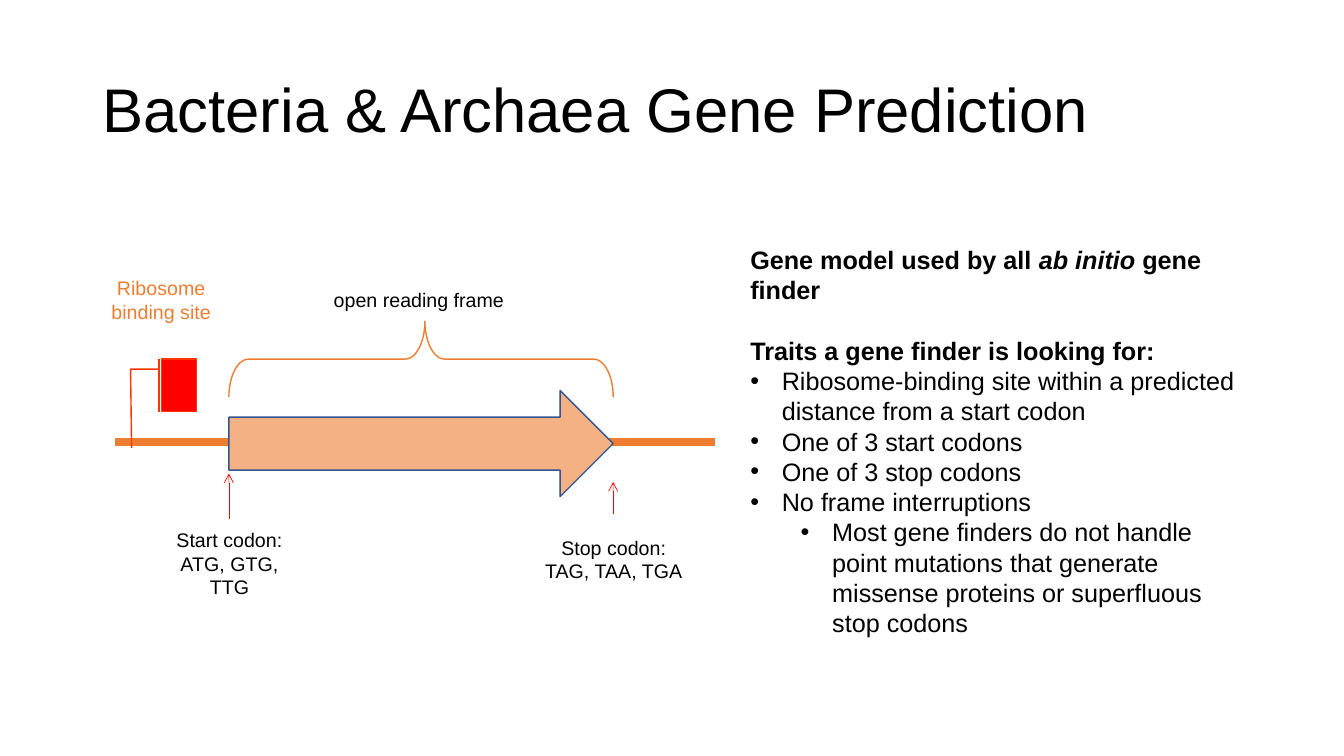
from lxml import etree
from pptx import Presentation
from pptx import util as u
from pptx.dml.color import RGBColor
from pptx.enum import shapes, text
from pptx.oxml import ns

PX = 9525
COLORS = {
    "black": "000000",
    "white": "FFFFFF",
    "orange": "ED7D31",
    "gene": "F4B183",
    "gene_edge": "325491",
    "red": "FF0000",
    "site_edge": "FF3300",
}
TITLE_FONT = {"name": "Arial", "size": u.Pt(44)}
LABEL_FONT = {"name": "Arial", "size": u.Pt(14)}
BODY_FONT = {"name": "Arial", "size": u.Pt(18)}
BODY_INDENT = 30
SHAPE = shapes.MSO_SHAPE

TRAITS = [
    (0, "Ribosome-binding site within a predicted distance from a start codon"),
    (0, "One of 3 start codons"),
    (0, "One of 3 stop codons"),
    (0, "No frame interruptions"),
    (1, "Most gene finders do not handle point mutations that generate "
        "missense proteins or superfluous stop codons"),
]


def px(*lengths):
    return [u.Emu(length * PX) for length in lengths]


def rgb(color):
    return RGBColor.from_string(COLORS[color])


def apply(target, values):
    for name, value in values.items():
        setattr(target, name, value)


def format_font(font, values, color="black"):
    apply(font, values)
    font.color.rgb = rgb(color)


def place(shape, *box):
    apply(shape, dict(zip(("left", "top", "width", "height"), px(*box))))


def add_shape(slide, kind, box, fill=None, line=None, adjustments=()):
    shape = slide.shapes.add_shape(kind, *px(*box))
    shape.shadow.inherit = False
    if fill:
        shape.fill.solid()
        shape.fill.fore_color.rgb = rgb(fill)
    else:
        shape.fill.background()
    if line:
        shape.line.color.rgb = rgb(line)
        shape.line.width = u.Pt(1)
    else:
        shape.line.fill.background()
    for index, value in enumerate(adjustments):
        shape.adjustments[index] = value
    return shape


def add_label(slide, box, lines, color="black"):
    frame = add_shape(slide, SHAPE.RECTANGLE, box, "white").text_frame
    apply(frame, {"word_wrap": True, "vertical_anchor": text.MSO_ANCHOR.MIDDLE})
    frame.text = "\n".join(lines)
    for paragraph in frame.paragraphs:
        paragraph.alignment = text.PP_ALIGN.CENTER
        format_font(paragraph.font, LABEL_FONT, color)


def add_line(slide, ends, color, width, arrow=False):
    connector = slide.shapes.add_connector(
        shapes.MSO_CONNECTOR.STRAIGHT, *px(*ends))
    connector.line.color.rgb = rgb(color)
    connector.line.width = u.Pt(width)
    properties = connector._element.spPr
    if arrow:
        outline = properties.find(ns.qn("a:ln"))
        etree.SubElement(outline, ns.qn("a:tailEnd"), type="arrow")
    etree.SubElement(properties, ns.qn("a:effectLst"))


def add_paragraph(frame, runs, level=0, bullet=False, space_before=0):
    paragraph = frame.paragraphs[0]
    if paragraph.runs:
        paragraph = frame.add_paragraph()
    properties = paragraph._p.get_or_add_pPr()
    margin = BODY_INDENT + level * 48 if bullet else 0
    properties.set("marL", str(margin * PX))
    properties.set("indent", str(-BODY_INDENT * PX if bullet else 0))
    if bullet:
        etree.SubElement(properties, ns.qn("a:buFont"), typeface="Arial")
        etree.SubElement(properties, ns.qn("a:buChar"), char="•")
    else:
        etree.SubElement(properties, ns.qn("a:buNone"))
    apply(paragraph, {"level": level, "line_spacing": 1.0,
                      "space_before": u.Pt(space_before),
                      "space_after": u.Pt(0)})
    for wording, style in runs:
        run = paragraph.add_run()
        run.text = wording
        format_font(run.font, BODY_FONT | style)


def fill_title(title):
    place(title, 88, 38, 1104, 139)
    frame = title.text_frame
    frame.text = "Bacteria & Archaea Gene Prediction"
    apply(frame, {"vertical_anchor": text.MSO_ANCHOR.MIDDLE,
                  "auto_size": text.MSO_AUTO_SIZE.NONE})
    paragraph = frame.paragraphs[0]
    apply(paragraph, {"alignment": text.PP_ALIGN.LEFT, "line_spacing": 0.9})
    format_font(paragraph.font, TITLE_FONT)


def fill_body(body):
    place(body, 705, 228, 497, 388)
    frame = body.text_frame
    apply(frame, {"word_wrap": True,
                  "auto_size": text.MSO_AUTO_SIZE.SHAPE_TO_FIT_TEXT})
    bold = {"bold": True}
    add_paragraph(frame, [
        ("Gene model used by all ", bold),
        ("ab initio ", bold | {"italic": True}),
        ("gene finder", bold),
    ])
    add_paragraph(frame, [("Traits a gene finder is looking for:", bold)],
                  space_before=21.6)
    for level, trait in TRAITS:
        add_paragraph(frame, [(trait, {})], level, bullet=True)


def draw_gene(slide):
    start, stop = 218, 584
    length = stop - start
    add_line(slide, (110, 421, 681, 421), "orange", 6)
    add_shape(slide, SHAPE.RIGHT_ARROW, (start, 372, length, 101),
              "gene", "gene_edge")
    add_shape(slide, SHAPE.LINE_CALLOUT_2_BORDER_AND_ACCENT_BAR,
              (154, 342, 33, 50), "red", "site_edge",
              (0.19, -0.08, 0.19, -0.9, 1.69, -0.87))
    add_label(slide, (78, 243, 151, 85), ["Ribosome binding site"], "orange")
    add_label(slide, (143, 494, 151, 85), ["Start codon:", "ATG, GTG, TTG"])
    add_label(slide, (509, 490, 151, 85), ["Stop codon:", "TAG, TAA, TGA"])
    add_line(slide, (start, 494, start, 451), "red", 0.5, arrow=True)
    add_line(slide, (stop, 490, stop, 459), "red", 0.5, arrow=True)
    add_label(slide, (261, 243, 276, 85), ["open reading frame"])
    brace = add_shape(slide, SHAPE.LEFT_BRACE, (365, 159, 72, length),
                      line="orange", adjustments=(0.26, 0.49))
    brace.rotation = 90


def main():
    presentation = Presentation()
    apply(presentation, dict(zip(("slide_width", "slide_height"),
                                 px(1280, 720))))
    slide = presentation.slides.add_slide(presentation.slide_layouts[1])
    fill_title(slide.shapes.title)
    fill_body(slide.placeholders[1])
    draw_gene(slide)
    presentation.save("out.pptx")


if __name__ == "__main__":
    main()
